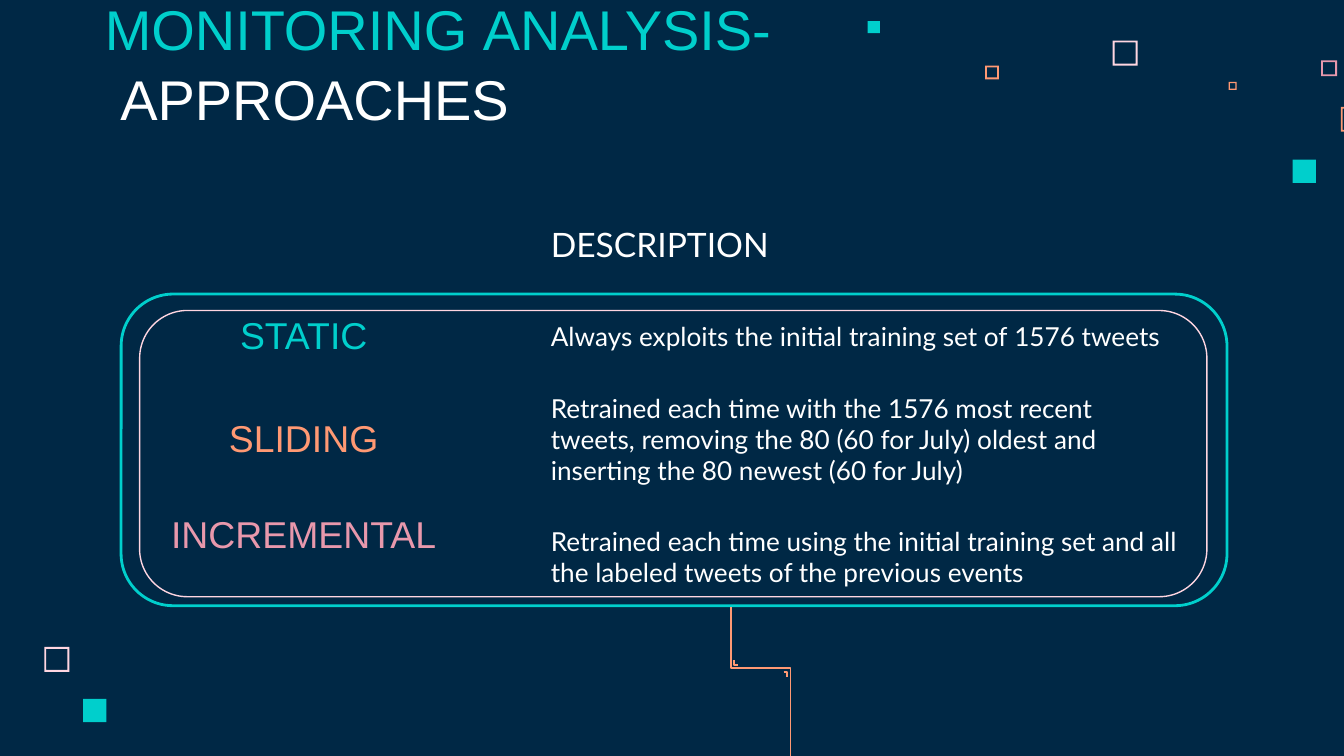
import pptx
import pptx.dml.color
import pptx.enum.shapes
import pptx.enum.text
import pptx.util
from pptx.util import Cm

SHAPES = pptx.enum.shapes.MSO_SHAPE
ALIGN = pptx.enum.text.PP_ALIGN
ANCHOR = pptx.enum.text.MSO_ANCHOR

COLOURS = {
    "navy": "002845", "teal": "00CFCC", "orange": "FF9973",
    "rose": "E898AC", "blush": "FFD6E1", "white": "FFFFFF",
}
NO_STYLE_NO_GRID = "{2D5ABB26-0587-4C30-8999-92F81FD0307C}"
INSET = Cm(0.25)

# Each square: x, y, side, colour, hollow
TOP_SQUARES = [
    (4.63, 0.37, 0.47, "blush", True),
    (8.57, 0.74, 0.3, "rose", True),
    (6.82, 1.15, 0.15, "orange", True),
    (8.94, 1.62, 0.47, "orange", True),
    (8.03, 2.62, 0.44, "teal", False),
    (2.22, 0.84, 0.26, "orange", True),
    (0, 0, 0.23, "teal", False),
]
BOTTOM_SQUARES = [
    (0, 0, 0.47, "blush", True),
    (0.73, 0.98, 0.44, "teal", False),
]
APPROACHES = [
    ("STATIC", "teal", "Always exploits the\u00a0initial training set of\u00a01576 tweets"),
    ("SLIDING", "orange",
     "Retrained each time with the 1576 most recent tweets, removing the 80 "
     "(60 for July) oldest and inserting the 80 newest (60 for July)"),
    ("INCREMENTAL", "rose",
     "Retrained each time using the initial training set and all the labeled "
     "tweets of the previous events"),
]


def rgb(colour):
    return pptx.dml.color.RGBColor.from_string(COLOURS[colour])


def add_run(paragraph, text, font, size, colour):
    run = paragraph.add_run()
    run.text = text
    run.font.name = font
    run.font.size = pptx.util.Pt(size)
    run.font.color.rgb = rgb(colour)


def add_squares(slide, left, top, squares):
    """Scatter solid and hollow squares from a corner given in cm."""
    for x, y, side, colour, hollow in squares:
        kind = SHAPES.FRAME if hollow else SHAPES.RECTANGLE
        square = slide.shapes.add_shape(
            kind, Cm(left + x), Cm(top + y), Cm(side), Cm(side))
        square.shadow.inherit = False
        square.fill.solid()
        square.fill.fore_color.rgb = rgb(colour)
        square.line.fill.background()
        if hollow:
            square.adjustments[0] = min(0.035 / side, 0.15)


def add_panel(slide, left, top, width, height, colour, weight):
    panel = slide.shapes.add_shape(
        SHAPES.ROUNDED_RECTANGLE, Cm(left), Cm(top), Cm(width), Cm(height))
    panel.shadow.inherit = False
    panel.fill.background()
    panel.line.color.rgb = rgb(colour)
    panel.line.width = pptx.util.Pt(weight)


def add_title(slide, left, top, width, height):
    title = slide.shapes.title
    title.left, title.top = Cm(left), Cm(top)
    title.width, title.height = Cm(width), Cm(height)
    frame = title.text_frame
    frame.word_wrap = True
    frame.auto_size = pptx.enum.text.MSO_AUTO_SIZE.NONE
    frame.vertical_anchor = ANCHOR.BOTTOM
    frame.margin_left = frame.margin_right = INSET
    frame.margin_top = frame.margin_bottom = INSET
    heading = frame.paragraphs[0]
    heading.alignment = ALIGN.LEFT
    heading.line_spacing = 1.04
    add_run(heading, "MONITORING\u00a0ANALYSIS-", "Arial", 30, "teal")
    add_run(heading, "\u00a0APPROACHES", "Arial", 30, "white")


def add_approaches(slide, left, top, width, height):
    table = slide.shapes.add_table(
        len(APPROACHES) + 1, 2, Cm(left), Cm(top), Cm(width), Cm(height)).table
    table.first_row = table.horz_banding = False
    table._tbl.tblPr.find(pptx.oxml.ns.qn("a:tableStyleId")).text = NO_STYLE_NO_GRID
    name_width = 8.84
    table.columns[0].width = Cm(name_width)
    table.columns[1].width = Cm(width - name_width)
    for row, row_height in zip(table.rows, (1.57, 1.6, 2.29, 2.16)):
        row.height = Cm(row_height)
    for cell in table.iter_cells():
        cell.fill.background()
        cell.margin_left = cell.margin_right = INSET
        cell.margin_top = cell.margin_bottom = INSET

    description_head = table.cell(0, 1).text_frame.paragraphs[0]
    add_run(description_head, "DESCRIPTION", "Lato", 18, "white")
    for row, (name, colour, description) in enumerate(APPROACHES, start=1):
        name_cell, description_cell = table.cell(row, 0), table.cell(row, 1)
        name_cell.vertical_anchor = description_cell.vertical_anchor = ANCHOR.MIDDLE
        name_line = name_cell.text_frame.paragraphs[0]
        name_line.alignment = ALIGN.CENTER
        add_run(name_line, name, "Arial", 20, colour)
        add_run(description_cell.text_frame.paragraphs[0], description, "Lato", 14, "white")
    # The last name sits above the middle of its row
    table.cell(len(APPROACHES), 0).margin_bottom = Cm(1.07)


def add_circuit(slide, left, top, width, height):
    """Stepped line from the panel to the slide edge, with two corner marks."""
    step = 1.14
    traces = [
        [(0, 0), (0, step), (width, step), (width, height)],
        [(width - 0.13, 1.22), (width - 0.06, 1.22), (width - 0.06, 1.32)],
        [(0.06, 1), (0.06, 1.09), (0.13, 1.09)],
    ]
    for trace in traces:
        points = [(Cm(left + x), Cm(top + y)) for x, y in trace]
        builder = slide.shapes.build_freeform(*points[0])
        builder.add_line_segments(points[1:], close=False)
        wire = builder.convert_to_shape()
        wire.shadow.inherit = False
        wire.fill.background()
        wire.line.color.rgb = rgb("orange")
        wire.line.width = pptx.util.Pt(1)


def main():
    deck = pptx.Presentation()
    deck.slide_width, deck.slide_height = Cm(25.4), Cm(14.29)
    slide = deck.slides.add_slide(deck.slide_layouts[5])
    slide.background.fill.solid()
    slide.background.fill.fore_color.rgb = rgb("navy")

    add_squares(slide, 16.4, 0.4, TOP_SQUARES)
    add_squares(slide, 0.84, 12.23, BOTTOM_SQUARES)
    add_panel(slide, 2.29, 5.56, 20.9, 5.89, "teal", 1.5)
    add_panel(slide, 2.64, 5.87, 20.17, 5.41, "blush", 0.75)
    add_title(slide, 1.73, 1.14, 16.66, 1.6)
    add_approaches(slide, 1.32, 3.99, 21.26, 7.62)
    add_circuit(slide, 13.82, 11.48, 1.12, 2.81)
    deck.save("out.pptx")


if __name__ == "__main__":
    main()
